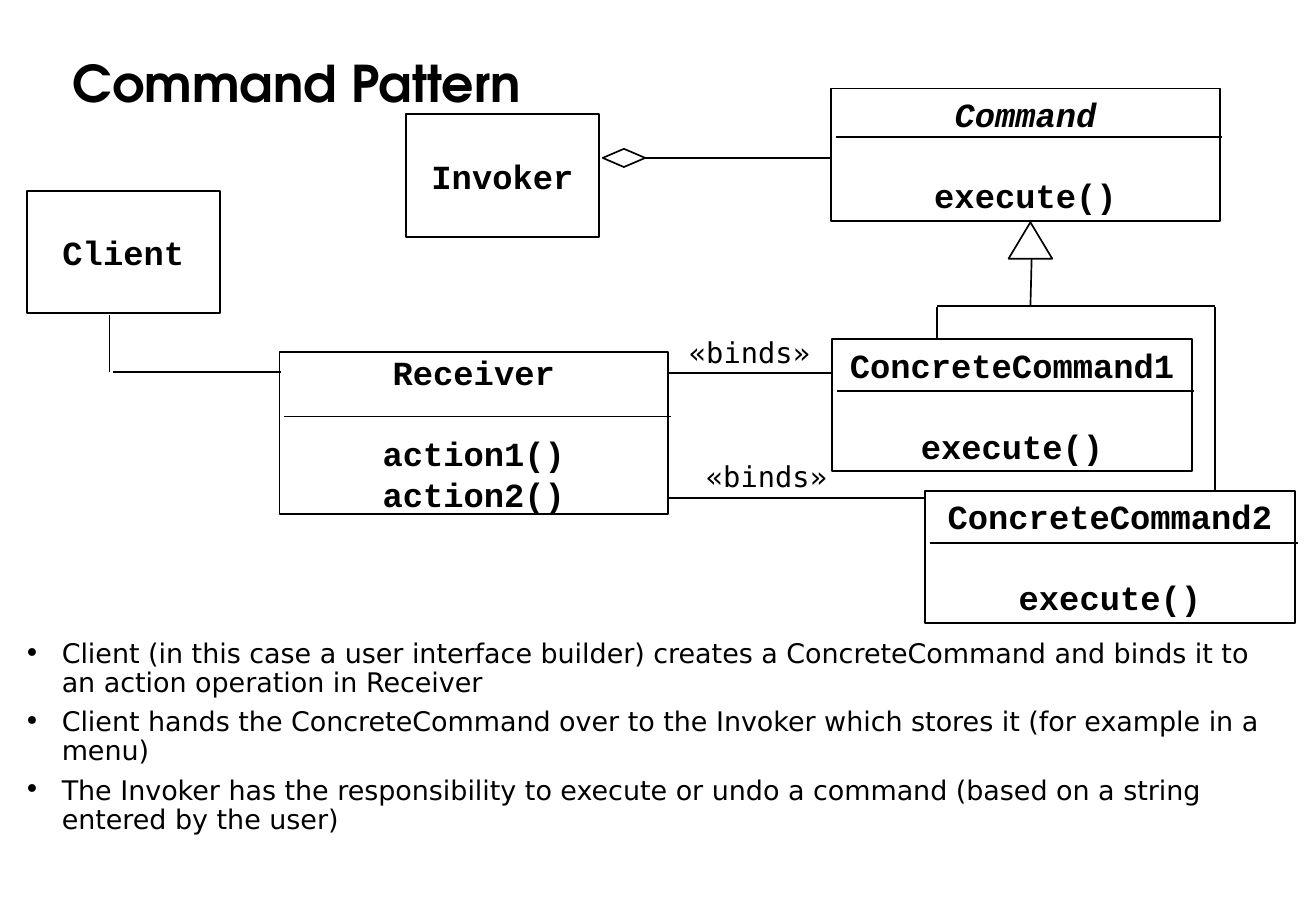
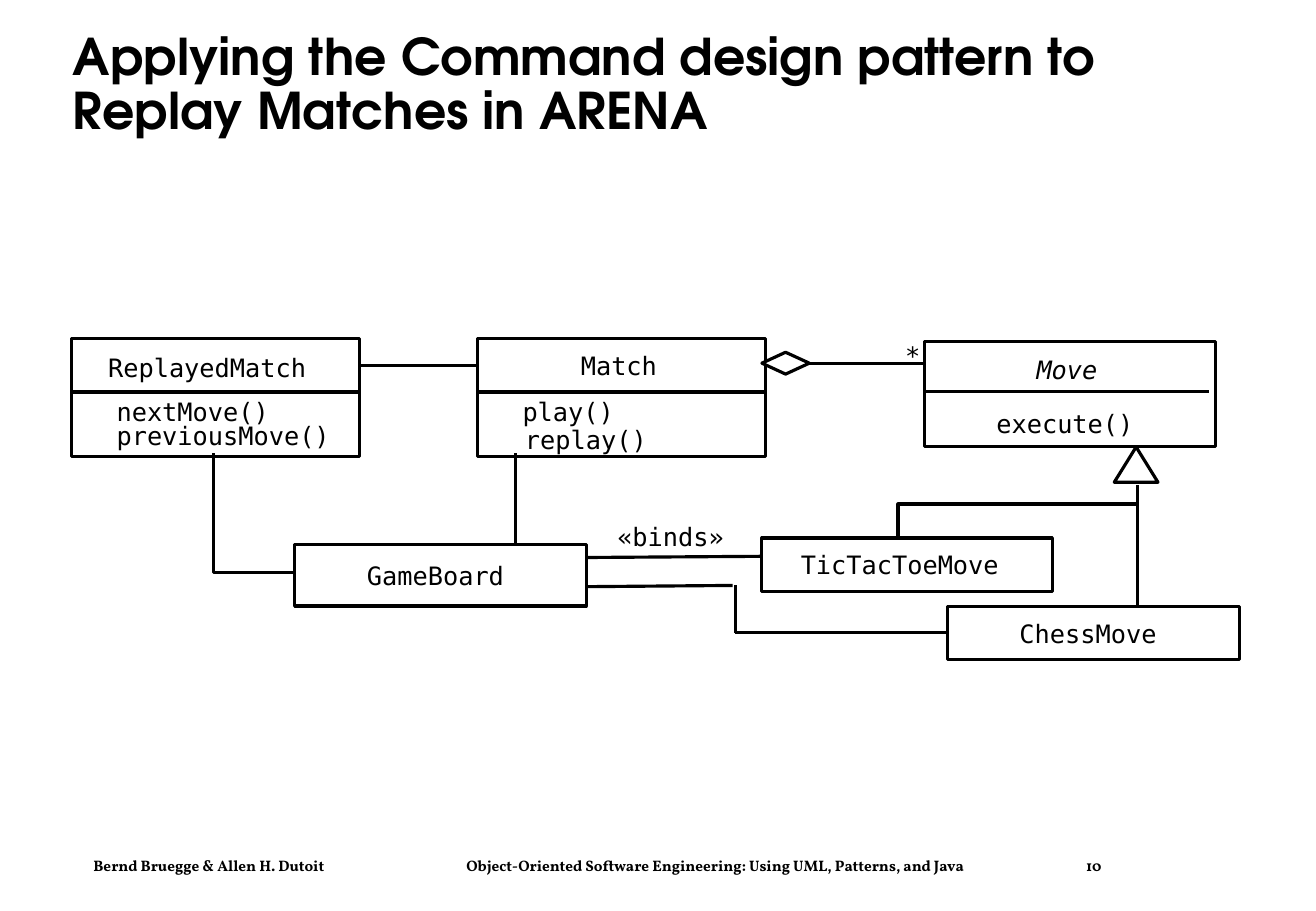
"""Builds two slides of class diagrams on the Command pattern, on a grid of tenth-inch cells."""
from lxml import etree
from pptx import Presentation
from pptx.dml.color import RGBColor
from pptx.enum.shapes import MSO_CONNECTOR, MSO_SHAPE
from pptx.enum.text import MSO_ANCHOR, MSO_AUTO_SIZE, PP_ALIGN
from pptx.oxml.ns import qn
from pptx.util import Inches, Pt

RECT, DIAMOND, TRIANGLE = MSO_SHAPE.RECTANGLE, MSO_SHAPE.DIAMOND, MSO_SHAPE.ISOSCELES_TRIANGLE
STRAIGHT = MSO_CONNECTOR.STRAIGHT
MIDDLE = MSO_ANCHOR.MIDDLE
FIXED, GROW = MSO_AUTO_SIZE.NONE, MSO_AUTO_SIZE.SHAPE_TO_FIT_TEXT
LEFT, CENTER = PP_ALIGN.LEFT, PP_ALIGN.CENTER
BLACK, WHITE = "000000", "FFFFFF"
HEAD, BODY, MONO, CODE, FOOT = (
    "TeX Gyre Adventor", "DejaVu Sans", "DejaVu Sans Mono", "Courier New", "Vollkorn")
ABSTRACT = ("Command", "Move")
color = RGBColor.from_string


def grid(*cells):
    """Turn counts of grid cells into lengths."""
    return [Inches(n / 10) for n in cells]


def say(para, text, size, face, bold=False):
    """Add one black run to a paragraph."""
    run = para.add_run()
    run.text = text
    font = run.font
    font.name, font.size, font.bold = face, Pt(size), bold
    font.italic = text in ABSTRACT
    font.color.rgb = color(BLACK)


pattern = {
    "title": "Command Pattern", "width": 1, "fill": True, "size": 17,
    "boxes": [
        ("Command", 68.4, 7.3, 32, 10.9, 4, ["execute()"]),
        ("Receiver", 23, 29, 32, 13.3, 5.3, ["action1()", "action2()"]),
        ("Client", 2.2, 15.7, 15.9, 10.1, 0, []),
        ("Invoker", 33.4, 9.4, 15.9, 10.1, 0, []),
        ("ConcreteCommand1", 68.5, 27.9, 29.6, 10.9, 4.3, ["execute()"]),
        ("ConcreteCommand2", 76.1, 40.4, 30.5, 10.9, 4.3, ["execute()"]),
    ],
    "marks": [(TRIANGLE, 83, 18.3, 3.6, 3), (DIAMOND, 49.6, 12.25, 3.5, 1.5)],
    "labels": [("«binds»", 56.7, 27.6), ("«binds»", 58.1, 37.8)],
    "lines": [
        (("diamond", 3), (68.3, 13)),
        ((84.9, 21.3), (84.8, 25.2)),
        ((68.4, 30.7), (54.9, 30.7)),
        ((76.1, 41), (54.9, 41)),
        ((9, 25.9), (9, 30.6)),
        ((9.3, 30.6), (23.1, 30.6)),
        ((77.1, 25.2), (100, 25.2)),
        ((77.1, 25.3), (77.1, 28)),
        ((100, 25.3), (100, 40.3)),
    ],
    "elbows": [],
}

arena = {
    "title": "Applying the Command design pattern to Replay Matches in ARENA",
    "width": 1.87, "fill": False, "size": 15,
    "boxes": [
        ("TicTacToeMove", 62.7, 44.3, 23.9, 4.4, 0, None),
        ("ChessMove", 78, 49.9, 24, 4.4, 0, None),
        ("Move", 76.1, 28.1, 23.9, 8.7, 0, None),
        ("Match", 39.3, 27.9, 23.7, 4.4, 0, None),
        ("Match methods", 39.3, 32.2, 23.7, 5.4, 0, None),
        ("ReplayedMatch", 5.9, 27.9, 23.7, 4.4, 0, None),
        ("ReplayedMatch methods", 5.9, 32.2, 23.7, 5.4, 0, None),
        ("GameBoard", 24.25, 44.8, 24, 5.1, 0, None),
    ],
    "marks": [(TRIANGLE, 91.7, 36.8, 3.6, 2.9), (DIAMOND, 62.7, 29, 3.9, 1.8)],
    "labels": [
        ("ReplayedMatch", 8.9, 29), ("nextMove()", 9.6, 32.6), ("previousMove()", 9.6, 34.6),
        ("Match", 47.8, 28.8), ("play()", 43, 32.6), ("replay()", 43.2, 34.9),
        ("Move", 85.3, 29.2), ("execute()", 82, 33.6), ("*", 74.5, 28),
        ("GameBoard", 30.2, 46.1), ("«binds»", 50.8, 42.9),
        ("TicTacToeMove", 65.9, 45.2), ("ChessMove", 83.9, 50.9),
    ],
    "lines": [
        (("ReplayedMatch", 3), ("Match", 1)),
        (("diamond", 3), (76.1, 29.9)),
        ((76.1, 32.2), (99.5, 32.2)),
        ((93.6, 41.5), (93.6, 39.9)),
        ((42.4, 37.3), (42.4, 44.8)),
        ((62.7, 45.8), (48.2, 45.9)),
        ((60.3, 48.2), (48.2, 48.3)),
        ((60.5, 48.2), (60.5, 52.1)),
        (("ChessMove", 1), (60.5, 52.1)),
    ],
    "elbows": [
        [(73.9, 44.3), (73.9, 41.5), (93.6, 41.5), (93.6, 49.9)],
        [(17.6, 37.3), (17.6, 47.1), (24.3, 47.1)],
    ],
}

deck = Presentation()
deck.slide_width, deck.slide_height = grid(108.3, 75)

for plan in (pattern, arena):
    slide = deck.slides.add_slide(deck.slide_layouts[5])
    shapes = slide.shapes
    title = shapes.title
    title.left, title.top, title.width, title.height = grid(5, 2.4, 96.6, 9.4)
    frame = title.text_frame
    frame.auto_size, frame.vertical_anchor, frame.word_wrap = FIXED, MIDDLE, True
    para = frame.paragraphs[0]
    para.alignment, para.line_spacing = LEFT, 0.9
    say(para, plan["title"], 30, HEAD, True)

    outlines, solids, nodes = [], [], {}
    lines = list(plan["lines"])
    for name, x, y, w, h, rule, calls in plan["boxes"]:
        box = nodes[name] = shapes.add_shape(RECT, *grid(x, y, w, h))
        solids.append((box, plan["fill"]))
        if rule:
            lines.append(((x + 0.4, y + rule), (x + w + 0.2, y + rule)))
        if calls is None:
            continue
        frame = box.text_frame
        frame.word_wrap, frame.vertical_anchor = False, MIDDLE
        for i, text in enumerate([name] + calls):
            para = frame.add_paragraph() if i else frame.paragraphs[0]
            para.alignment = CENTER
            if i == 1:
                para.space_before = Pt(24)
            say(para, text, 20, CODE, True)

    for kind, x, y, w, h in plan["marks"]:
        mark = shapes.add_shape(kind, *grid(x, y, w, h))
        solids.append((mark, True))
        if kind == DIAMOND:
            nodes["diamond"] = mark

    for points in plan["elbows"]:
        points = [grid(*point) for point in points]
        maker = shapes.build_freeform(*points[0])
        maker.add_line_segments(points[1:], close=False)
        solids.append((maker.convert_to_shape(), False))

    for shape, full in solids:
        shape.shadow.inherit = False
        if full:
            shape.fill.solid()
            shape.fill.fore_color.rgb = color(WHITE)
        else:
            shape.fill.background()
        outlines.append(shape)

    for start, end in lines:
        ends = [(0, 0) if spot[0] in nodes else spot for spot in (start, end)]
        link = shapes.add_connector(STRAIGHT, *grid(*ends[0], *ends[1]))
        if start[0] in nodes:
            link.begin_connect(nodes[start[0]], start[1])
        if end[0] in nodes:
            link.end_connect(nodes[end[0]], end[1])
        outlines.append(link)

    for shape in outlines:
        shape.line.color.rgb = color(BLACK)
        shape.line.width = Pt(plan["width"])
    for link in outlines[len(solids):]:
        etree.SubElement(link.element.spPr, qn("a:effectLst"))

    size = plan["size"]
    for text, x, y in plan["labels"]:
        label = shapes.add_textbox(*grid(x, y, len(text) * size / 11.9, size / 6))
        frame = label.text_frame
        frame.margin_left = frame.margin_right = frame.margin_top = frame.margin_bottom = 0
        frame.word_wrap, frame.auto_size = False, GROW
        say(frame.paragraphs[0], text, size, MONO)

notes = [
    "Client (in this case a user interface builder) creates a ConcreteCommand and binds it to "
    "an action operation in Receiver",
    "Client hands the ConcreteCommand over to the Invoker which stores it (for example in a menu)",
    "The Invoker has the responsibility to execute or undo a command (based on a string "
    "entered by the user)",
]
frame = deck.slides[0].shapes.add_textbox(*grid(1, 52.2, 106.1, 21.8)).text_frame
frame.word_wrap = True
for i, text in enumerate(notes):
    para = frame.add_paragraph() if i else frame.paragraphs[0]
    para.line_spacing = 0.9
    if i:
        para.space_before = Pt(6)
    props = para._p.get_or_add_pPr()
    hang = Inches(0.31)
    props.set("marL", str(hang))
    props.set("indent", str(-hang))
    etree.SubElement(props, qn("a:buFont"), typeface=BODY)
    etree.SubElement(props, qn("a:buChar"), char="•")
    say(para, text, 16, BODY)

frame = deck.slides[1].shapes.add_textbox(*grid(6.7, 70, 91.7, 2.5)).text_frame
frame.word_wrap = True
para = frame.paragraphs[0]
stops = etree.SubElement(para._p.get_or_add_pPr(), qn("a:tabLst"))
for stop in grid(30.7, 81.7):
    etree.SubElement(stops, qn("a:tab"), pos=str(stop), algn="l")
say(para, "Bernd Bruegge & Allen H. Dutoit\t", 9, FOOT, True)
say(para, "Object-Oriented Software Engineering: Using UML, Patterns, and Java\t", 9, FOOT, True)
say(para, "10", 9, FOOT, True)

deck.save("out.pptx")
